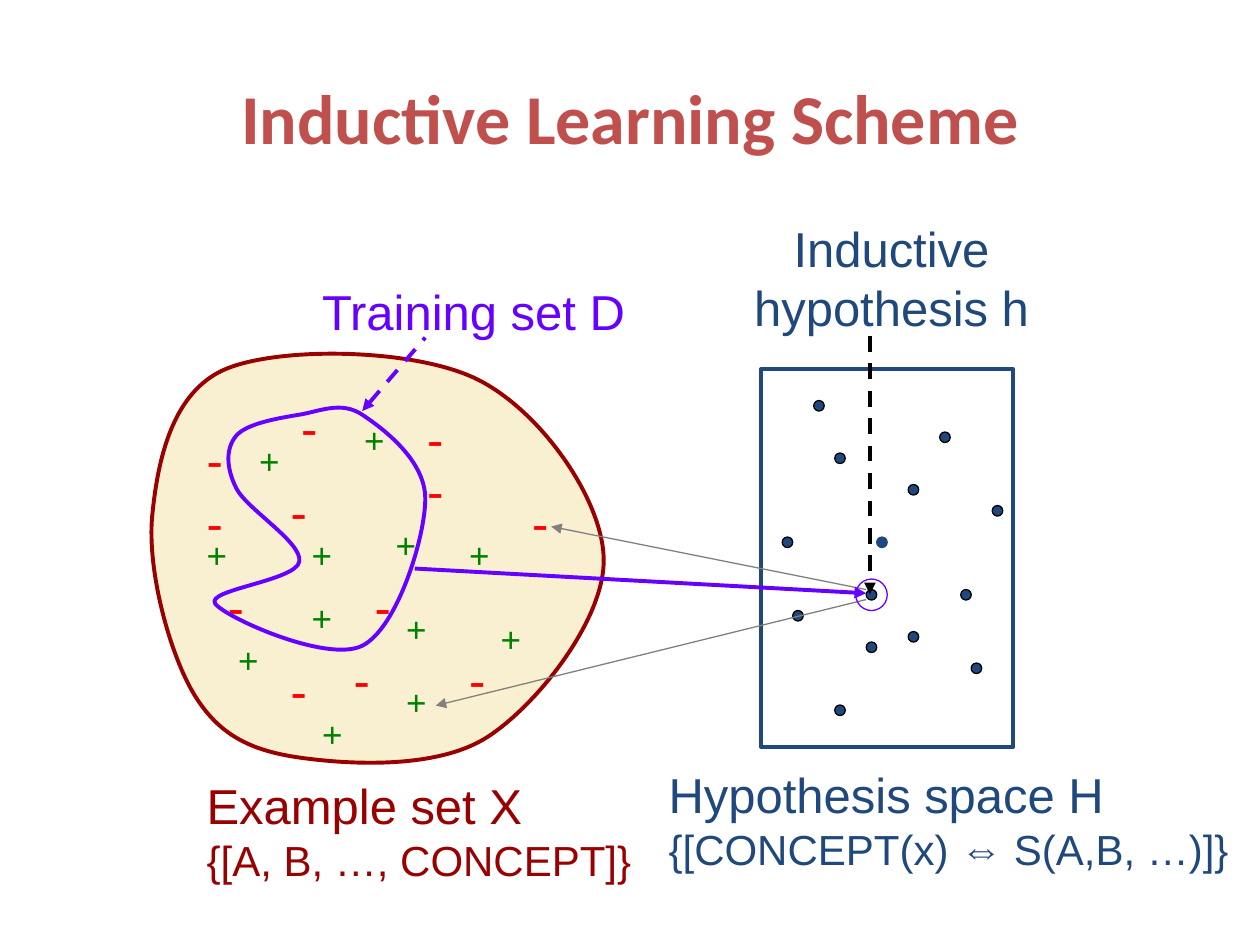
"""Build the inductive learning scheme slide on a grid of twelve cells to the inch."""
import dataclasses

import lxml.etree
import pptx
import pptx.dml.color
import pptx.enum.dml
import pptx.enum.shapes
import pptx.enum.text
import pptx.oxml.ns
import pptx.slide
import pptx.util

COLORS = {
    "title": "C0504D", "example": "990000", "sand": "F8F0D0", "plus": "008000",
    "minus": "FF0000", "space": "1F497D", "training": "6600FF", "gray": "808080", "black": "000000",
}
THICK, THIN = 2.25, 0.75
DOT_SIZE = 1


@dataclasses.dataclass(frozen=True)
class Span:
    text: str
    size: float
    bold: bool = False


@dataclasses.dataclass(frozen=True)
class Marks:
    symbol: str
    color: str
    size: float
    origin: tuple[float, float]
    extent: tuple[float, float]
    cells: tuple[tuple[int, int], ...]


@dataclasses.dataclass(frozen=True)
class Label:
    area: tuple[float, float, float, float]
    color: str
    paragraphs: tuple[tuple[Span, ...], ...]
    centered: bool = False


@dataclasses.dataclass(frozen=True)
class Arrow:
    start: tuple[float, float]
    end: tuple[float, float]
    color: str
    width: float
    dashed: bool = False
    tip: str = "tailEnd"


PLUSES = Marks("+", "plus", 20, (18.5, 39.25), (4.3, 5.2), (
    (10, 11), (19, 18), (10, 17), (0, 11), (11, 28), (15, 0),
    (25, 11), (28, 19), (3, 21), (18, 10), (5, 2), (19, 25)))
MINUSES = Marks("-", "minus", 28, (18.5, 37.3), (4, 6.85), (
    (25, 24), (2, 17), (0, 3), (8, 25), (0, 9), (16, 17),
    (21, 1), (8, 8), (21, 6), (31, 9), (9, 0), (14, 24)))
SPACE_AREA = (72.5, 35.15, 24, 36)
HYPOTHESES = (
    (10, 21), (7, 8), (5, 3), (14, 11), (22, 13), (2, 16), (14, 25),
    (3, 23), (11, 16), (19, 21), (10, 26), (17, 6), (20, 28), (7, 32))
UNOUTLINED = (11, 16)
EXAMPLE_KNOTS = (
    (28.5, 72.15), (18.5, 66.15), (14.5, 49.15), (21.5, 35.15),
    (45.5, 36.15), (57.5, 53.15), (46.5, 70.15))
TRAINING_KNOTS = (
    (22.5, 46.5), (28.5, 53.5), (20.5, 57.5), (34.5, 61.5),
    (40.5, 47.5), (34.5, 39.5), (28.5, 39.5), (22.5, 41.5))
EXAMPLE_LABEL = Label((18.5, 73.3, 43, 11.6), "example", (
    (Span("Example set X", 28),), (Span("{[A, B, …, CONCEPT]}", 24),)))
SPACE_LABEL = Label((62.5, 72.25, 55.9, 11.6), "space", (
    (Span("Hypothesis space H", 28),),
    (Span("{[CONCEPT(x) ", 24), Span("⇔ ", 24, True), Span("S(A,B, …)]}", 24))))
TRAINING_LABEL = Label((29.5, 26.25, 31.6, 6.85), "training", ((Span("Training set D", 28),),))
HYPOTHESIS_LABEL = Label(
    (70.55, 20.25, 28.7, 12.4), "space", ((Span("Inductive\nhypothesis h", 28),),), True)
PREDICTIONS = (
    Arrow((82.5, 57.1), (41.5, 67.2), "gray", THIN),
    Arrow((82.5, 56.15), (52.5, 50.15), "gray", THIN))
TRAINING_POINTER = Arrow((34.5, 39.15), (40.5, 32.15), "training", THICK, True, "headEnd")
LEARNING = Arrow((39.5, 54.15), (82.5, 56.5), "training", THICK)
HYPOTHESIS_POINTER = Arrow((82.85, 32), (82.85, 56.6), "black", THICK, True)


def cells(count: float) -> pptx.util.Length:
    return pptx.util.Inches(count / 12)


def color_of(name: str) -> pptx.dml.color.RGBColor:
    return pptx.dml.color.RGBColor.from_string(COLORS[name])


def paint(shape, fill: str | None, line: str, width: float) -> None:
    shape.shadow.inherit = False
    if fill:
        shape.fill.solid()
        shape.fill.fore_color.rgb = color_of(fill)
    else:
        shape.fill.background()
    shape.line.color.rgb = color_of(line)
    shape.line.width = pptx.util.Pt(width)


def add_text(page: pptx.slide.Slide, paragraphs: tuple[tuple[Span, ...], ...], *,
             area: tuple[float, float, float, float], color: str, font: str = "Arial",
             centered: bool = False, wrap: bool = False) -> None:
    frame = page.shapes.add_textbox(*map(cells, area)).text_frame
    frame.word_wrap = wrap
    sizes, anchors = pptx.enum.text.MSO_AUTO_SIZE, pptx.enum.text.MSO_ANCHOR
    frame.auto_size = sizes.NONE if wrap else sizes.SHAPE_TO_FIT_TEXT
    frame.vertical_anchor = anchors.MIDDLE if wrap else anchors.TOP
    for index, spans in enumerate(paragraphs):
        para = frame.add_paragraph() if index else frame.paragraphs[0]
        if centered:
            para.alignment = pptx.enum.text.PP_ALIGN.CENTER
        for span in spans:
            for row, piece in enumerate(span.text.split("\n")):
                if row:
                    para.add_line_break()
                run = para.add_run()
                run.text = piece
                run.font.name = font
                run.font.size = pptx.util.Pt(span.size)
                run.font.bold = span.bold
                run.font.color.rgb = color_of(color)


def add_label(page: pptx.slide.Slide, label: Label) -> None:
    add_text(page, label.paragraphs, area=label.area, color=label.color, centered=label.centered)


def add_marks(page: pptx.slide.Slide, marks: Marks) -> None:
    left, top = marks.origin
    for column, row in marks.cells:
        add_text(page, ((Span(marks.symbol, marks.size),),), color=marks.color,
                 area=(left + column, top + row, *marks.extent))


def bezier_points(knots: tuple[tuple[float, float], ...]) -> list[tuple[int, int]]:
    points = []
    for index in range(len(knots)):
        before, start, end, after = (knots[(index + shift) % len(knots)] for shift in (-1, 0, 1, 2))
        leaving = tuple(cells(b + (c - a) / 6) for a, b, c in zip(before, start, end))
        arriving = tuple(cells(c - (d - b) / 6) for b, c, d in zip(start, end, after))
        points += [leaving, arriving, tuple(map(cells, end))]
    return points


def add_region(page: pptx.slide.Slide, knots: tuple[tuple[float, float], ...],
               fill: str | None, line: str) -> None:
    builder = page.shapes.build_freeform(*map(cells, knots[0]))
    builder.add_line_segments(bezier_points(knots), close=True)
    region = builder.convert_to_shape()
    qualified = pptx.oxml.ns.qn
    segments = list(region.element.iter(qualified("a:lnTo")))
    for index in range(0, len(segments), 3):
        curve = lxml.etree.Element(qualified("a:cubicBezTo"))
        segments[index].addprevious(curve)
        for segment in segments[index:index + 3]:
            curve.append(segment[0])
            segment.getparent().remove(segment)
    paint(region, fill, line, THICK)


def add_preset(page: pptx.slide.Slide, kind: str, area: tuple[float, float, float, float],
               fill: str | None, line: str, width: float) -> None:
    preset = pptx.enum.shapes.MSO_SHAPE[kind]
    paint(page.shapes.add_shape(preset, *map(cells, area)), fill, line, width)


def add_arrow(page: pptx.slide.Slide, arrow: Arrow) -> None:
    connector = page.shapes.add_connector(
        pptx.enum.shapes.MSO_CONNECTOR.STRAIGHT, *map(cells, arrow.start + arrow.end))
    connector.line.color.rgb = color_of(arrow.color)
    connector.line.width = pptx.util.Pt(arrow.width)
    if arrow.dashed:
        connector.line.dash_style = pptx.enum.dml.MSO_LINE.DASH
    qualified = pptx.oxml.ns.qn
    properties = connector.element.spPr
    outline = properties.find(qualified("a:ln"))
    lxml.etree.SubElement(outline, qualified(f"a:{arrow.tip}"), type="triangle")
    lxml.etree.SubElement(properties, qualified("a:effectLst"))


def main() -> None:
    deck = pptx.Presentation()
    deck.slide_width, deck.slide_height = cells(120), cells(90)
    page = deck.slides.add_slide(deck.slide_layouts[6])
    add_region(page, EXAMPLE_KNOTS, "sand", "example")
    add_marks(page, PLUSES)
    add_marks(page, MINUSES)
    add_label(page, EXAMPLE_LABEL)
    add_text(page, ((Span("Inductive Learning Scheme", 40, True),),), area=(6, 3.6, 108, 15),
             color="title", font="Calibri", centered=True, wrap=True)
    add_preset(page, "RECTANGLE", SPACE_AREA, None, "space", THICK)
    for cell in HYPOTHESES:
        area = (SPACE_AREA[0] + cell[0], SPACE_AREA[1] + cell[1], DOT_SIZE, DOT_SIZE)
        add_preset(page, "OVAL", area, "space", "space" if cell == UNOUTLINED else "black", THIN)
    add_label(page, SPACE_LABEL)
    for prediction in PREDICTIONS:
        add_arrow(page, prediction)
    add_region(page, TRAINING_KNOTS, None, "training")
    add_label(page, TRAINING_LABEL)
    add_arrow(page, TRAINING_POINTER)
    add_arrow(page, LEARNING)
    add_preset(page, "OVAL", (81.5, 55.15, 3, 3), None, "training", THIN)
    add_label(page, HYPOTHESIS_LABEL)
    add_arrow(page, HYPOTHESIS_POINTER)
    deck.save("out.pptx")


if __name__ == "__main__":
    main()
